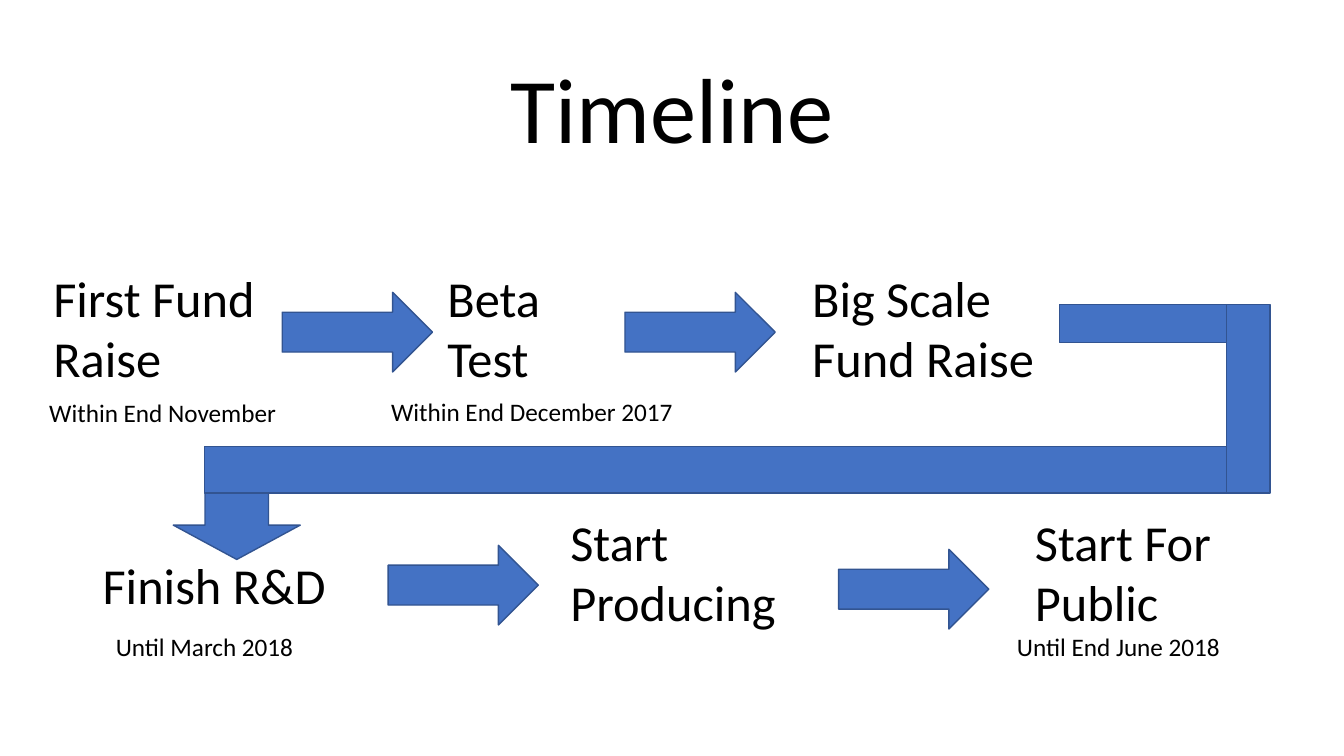
from pptx import Presentation
from pptx.dml.color import RGBColor
from pptx.enum import shapes, text
from pptx.util import Pt

BLACK = RGBColor(0x00, 0x00, 0x00)
BLUE = RGBColor(0x44, 0x72, 0xC4)
OUTLINE = RGBColor(0x32, 0x54, 0x91)
SHAPE = shapes.MSO_SHAPE

prs = Presentation()
prs.slide_width, prs.slide_height = Pt(960), Pt(540)
s = prs.slides.add_slide(prs.slide_layouts[5])


def style(p, size):
    p.font.name = "Calibri"
    p.font.size = Pt(size)
    p.font.color.rgb = BLACK


title = s.shapes.title
title.left, title.top, title.width, title.height = Pt(66), Pt(28.8), Pt(828), Pt(104.4)
tf = title.text_frame
tf.text = "Timeline"
tf.vertical_anchor = text.MSO_ANCHOR.MIDDLE
p = tf.paragraphs[0]
p.alignment = text.PP_ALIGN.CENTER
p.line_spacing = 0.9
style(p, 66)

milestones = [
    ("First Fund Raise", 31, 187.2, 170.6, 94.3),
    ("Beta Test", 312.5, 187.2, 134, 94.3),
    ("Big Scale Fund Raise", 573.1, 187.2, 216, 94.3),
    ("Finish R&D", 66.2, 392.4, 195.1, 51.1),
    ("Start Producing", 400.3, 361.4, 173.5, 94.3),
    ("Start For Public", 732.2, 361.4, 180, 94.3),
]
dates = [
    ("Within End November", 28.1, 280.1, 214.6, 28.8),
    ("Within End December 2017", 272.2, 279.4, 231.1, 28.8),
    ("Until March 2018", 75.6, 447.1, 162, 28.8),
    ("Until End June 2018", 719.3, 447.1, 162, 28.8),
]
for size, labels in ((36, milestones), (18, dates)):
    for label, *box in labels:
        tf = s.shapes.add_textbox(*map(Pt, box)).text_frame
        tf.word_wrap = True
        tf.auto_size = text.MSO_AUTO_SIZE.SHAPE_TO_FIT_TEXT
        tf.text = label
        style(tf.paragraphs[0], size)

arrows = [(201.6, 208.8), (446.4, 208.8), (277.2, 389.5), (599, 392.4)]
blocks = [(SHAPE.RIGHT_ARROW, x, y, 107.3, 56.9) for x, y in arrows]
blocks += [
    (SHAPE.DOWN_ARROW, 123.8, 350.6, 90.7, 49),
    (SHAPE.RECTANGLE, 146.2, 319, 735.1, 33.1),
    (SHAPE.RECTANGLE, 756.7, 217.4, 124.6, 27.4),
    (SHAPE.RECTANGLE, 876.2, 217.4, 31, 134.7),
]
for kind, *box in blocks:
    sp = s.shapes.add_shape(kind, *map(Pt, box))
    sp.shadow.inherit = False
    sp.fill.solid()
    sp.fill.fore_color.rgb = BLUE
    sp.line.color.rgb = OUTLINE
    sp.line.width = Pt(1)

prs.save("out.pptx")
